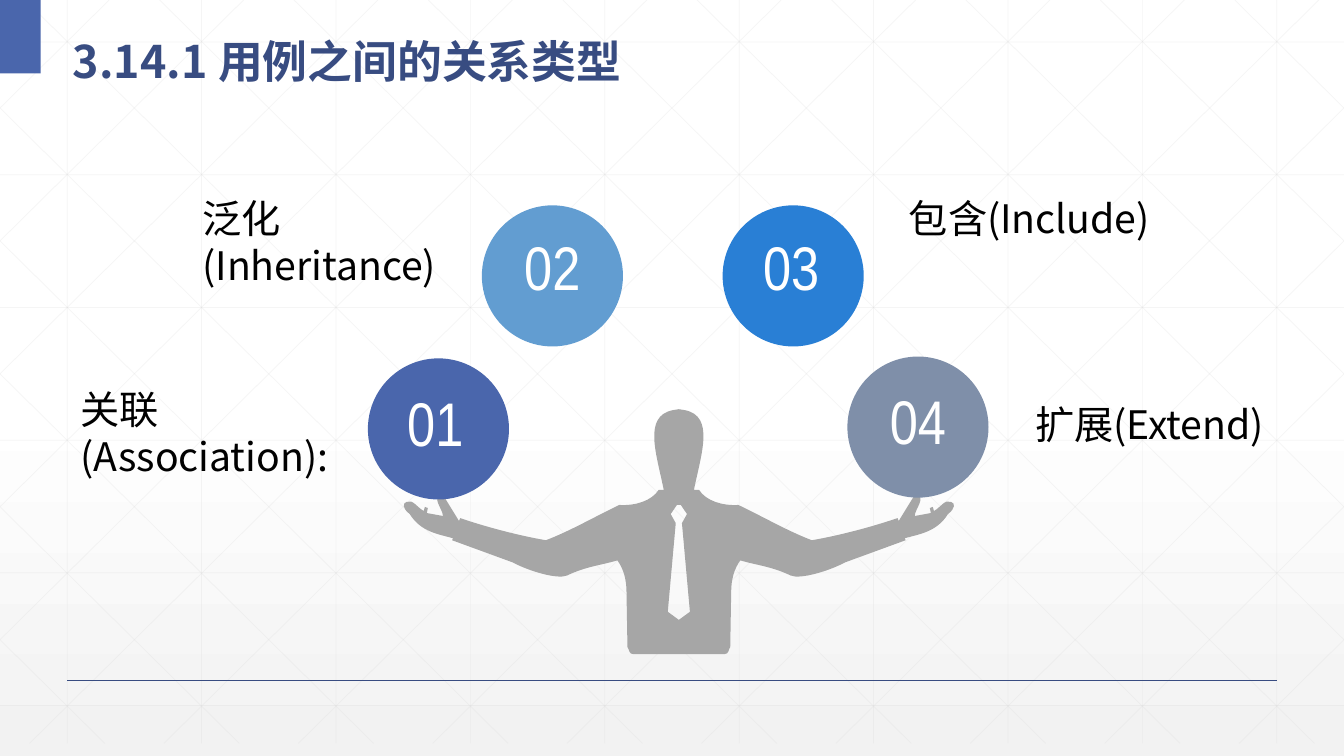
import pptx
import pptx.util
import pptx.dml.color
import pptx.enum.shapes
import pptx.enum.text
import pptx.oxml
import pptx.oxml.ns
import lxml.etree

Pt = pptx.util.Pt
qn = pptx.oxml.ns.qn
KIND = pptx.enum.shapes.MSO_SHAPE
ALIGN = pptx.enum.text.PP_ALIGN
ANCHOR = pptx.enum.text.MSO_ANCHOR
FIT = pptx.enum.text.MSO_AUTO_SIZE
WIDTH, HEIGHT = 960, 540
CJK = "Noto Sans CJK SC"

# Right half of the figure, as offsets from the top of the head:
# one point is a straight line, three points are a curve
BODY_HALF = [
    [(4.3, 0.7)],
    [(25.9, 5), (15.8, 32.4), (10.8, 57.6)],
    [(14.4, 57.6)],
    [(19.4, 65.5), (31, 69.1), (42.5, 68.4)],
    [(60.5, 77), (77.8, 87.1), (95, 93.6)],
    [(115.9, 90), (139.7, 83.5), (156.2, 77.8)],
    [(157, 79.9)], [(168.5, 61.2)],
    [(177.8, 61.9), (168.5, 71.3), (168.5, 76.3)],
    [(180, 74.2)], [(179.3, 70.6)], [(181.4, 69.8)], [(182.2, 72.7)],
    [(186.5, 70.6), (190.1, 64.1), (194.4, 66.2)],
    [(197.5, 67), (197.5, 71), (192.2, 74.9)],
    [(184.3, 87.8), (171.4, 89.3), (161.3, 92.2)],
    [(162, 93.6)], [(118.8, 109.4)],
    [(106.6, 115.9), (86.4, 121.7), (79.9, 118.8)],
    [(66.2, 112.3), (56.2, 111.6), (43.9, 108)],
    [(39.6, 113.8), (37.4, 121.7), (37.4, 130.3)],
    [(36.7, 169.9)],
    [(35.3, 171.4), (36, 175), (32.4, 175)],
]
TIE_HALF = [(0, 150.5), (7.9, 144.7), (2.2, 81.4), (5.8, 74.9), (1.4, 68.4)]

# Circle left and top, fill, number, number offset, label, label left, top and height
BALLS = [
    (262.8, 256, "4A66AC", "01", (14.4, 15.6), "关联(Association):", (50.4, 271.5, 75)),
    (344.2, 146.7, "629DD1", "02", (16.6, 13.2), "泛化(Inheritance)", (137.5, 135, 75)),
    (516.2, 146.7, "297FD5", "03", (15.2, 13.2), "包含(Include)", (642.2, 135, 41)),
    (605.3, 254.7, "7F8FA9", "04", (16.6, 15.2), "扩展(Extend)", (732.3, 282.6, 41)),
]


def colour(value):
    return pptx.dml.color.RGBColor.from_string(value)


def paint(shape, value):
    shape.shadow.inherit = False
    shape.fill.solid()
    shape.fill.fore_color.rgb = colour(value)
    shape.line.fill.background()


def add_line(page, start, end, value, width, opacity=100):
    line = page.shapes.add_connector(
        pptx.enum.shapes.MSO_CONNECTOR.STRAIGHT, *[Pt(n) for n in (*start, *end)])
    line.line.color.rgb = colour(value)
    line.line.width = Pt(width)
    properties = line._element.spPr
    lxml.etree.SubElement(properties, qn("a:effectLst"))
    if opacity < 100:
        tint = properties.find(".//" + qn("a:srgbClr"))
        alpha = lxml.etree.SubElement(tint, qn("a:alpha"))
        alpha.set("val", str(opacity * 1000))


def add_text(page, box, text, size, font, value, align=ALIGN.LEFT, bold=False):
    area = page.shapes.add_textbox(*[Pt(n) for n in box])
    frame = area.text_frame
    frame.word_wrap = True
    para = frame.paragraphs[0]
    para.text = text
    para.alignment = align
    para.font.size = Pt(size)
    para.font.bold = bold
    para.font.name = font
    para.font.color.rgb = colour(value)
    for span in para.runs:
        face = lxml.etree.SubElement(span._r.get_or_add_rPr(), qn("a:ea"))
        face.set("typeface", font)
    return frame


def add_backdrop(page):
    fill = page.background.fill
    fill.gradient()
    fill.gradient_angle = 270
    stops = fill._fill._gradFill.find(qn("a:gsLst"))
    for stop in list(stops):
        stops.remove(stop)
    for place, value in ((0, "FFFFFF"), (53, "FFFFFF"), (100, "F2F2F2")):
        stops.append(pptx.oxml.parse_xml(
            f'<a:gs {pptx.oxml.ns.nsdecls("a")} pos="{place * 1000}">'
            f'<a:srgbClr val="{value}"/></a:gs>'))


def add_grid(page, width, height):
    step, slope = 96, 0.989
    lines = [((48 + step * i, 0), (48 + step * i, height)) for i in range(10)]
    lines += [((0, 30 + 94.8 * i), (width, 30 + 94.8 * i)) for i in range(6)]
    # Diagonals are cut off at the edges, then mirrored
    for i in range(-5, 10):
        origin = 18 + step * i
        left = max(origin, 0)
        right = min(origin + height / slope, width)
        top, bottom = (left - origin) * slope, (right - origin) * slope
        lines.append(((left, top), (right, bottom)))
        lines.append(((width - left, top), (width - right, bottom)))
    for start, end in lines:
        add_line(page, start, end, "D9D9D9", 0.5, 25)


def add_heading(page, box):
    marker = page.shapes.add_shape(KIND.RECTANGLE, 0, 0, Pt(29), Pt(52.5))
    paint(marker, "4A66AC")
    frame = add_text(page, box, "3.14.1 用例之间的关系类型", 32, CJK, "384C81", bold=True)
    frame.vertical_anchor = ANCHOR.MIDDLE
    frame.margin_top = Pt(9.6)
    frame.paragraphs[0].line_spacing = 1.3


def bend(shape, sizes):
    """Turn each run of three straight segments into one curve."""
    segments = iter(list(shape._element.iter(qn("a:lnTo"))))
    for size in sizes:
        group = [next(segments) for _ in range(size)]
        if size == 3:
            curve = lxml.etree.Element(qn("a:cubicBezTo"))
            group[0].addprevious(curve)
            for segment in group:
                curve.append(segment[0])
                segment.getparent().remove(segment)


def add_figure(page, centre, top):
    unit = 100  # drawing units per point

    def outline(half):
        whole = half + [(-x, y) for x, y in reversed(half)]
        return [((centre + x) * unit, (top + y) * unit) for x, y in whole]

    body = outline([(0, 0)] + [point for segment in BODY_HALF for point in segment])
    tie = outline(TIE_HALF)
    builder = page.shapes.build_freeform(*body[0], scale=Pt(1) / unit)
    builder.add_line_segments(body[1:], close=True)
    builder.move_to(*tie[0])
    builder.add_line_segments(tie[1:], close=True)
    figure = builder.convert_to_shape()
    sizes = [len(segment) for segment in BODY_HALF]
    bend(figure, sizes + [1] + sizes[::-1])
    paint(figure, "A6A6A6")


def add_ball(page, left, top, fill, number, offset, label, label_place):
    ball = page.shapes.add_shape(KIND.OVAL, Pt(left), Pt(top), Pt(100.8), Pt(100.8))
    paint(ball, fill)
    digits = add_text(page, (left + offset[0], top + offset[1], 67.5, 60.5), number,
                      44, "Arial Narrow", "FFFFFF", ALIGN.CENTER)
    label_left, label_top, height = label_place
    caption = add_text(page, (label_left, label_top, 211.7, height), label,
                       28, CJK, "000000")
    for frame in (digits, caption):
        frame.auto_size = FIT.SHAPE_TO_FIT_TEXT


def main():
    deck = pptx.Presentation()
    deck.slide_width, deck.slide_height = Pt(WIDTH), Pt(HEIGHT)
    page = deck.slides.add_slide(deck.slide_layouts[6])
    add_backdrop(page)
    add_grid(page, WIDTH, 531)
    add_line(page, (48, 486), (912, 486), "384C81", 1)
    add_heading(page, (45, 8.5, 839.5, 52.5))
    add_figure(page, 484.9, 292.3)
    for ball in BALLS:
        add_ball(page, *ball)
    deck.save("out.pptx")


if __name__ == "__main__":
    main()
